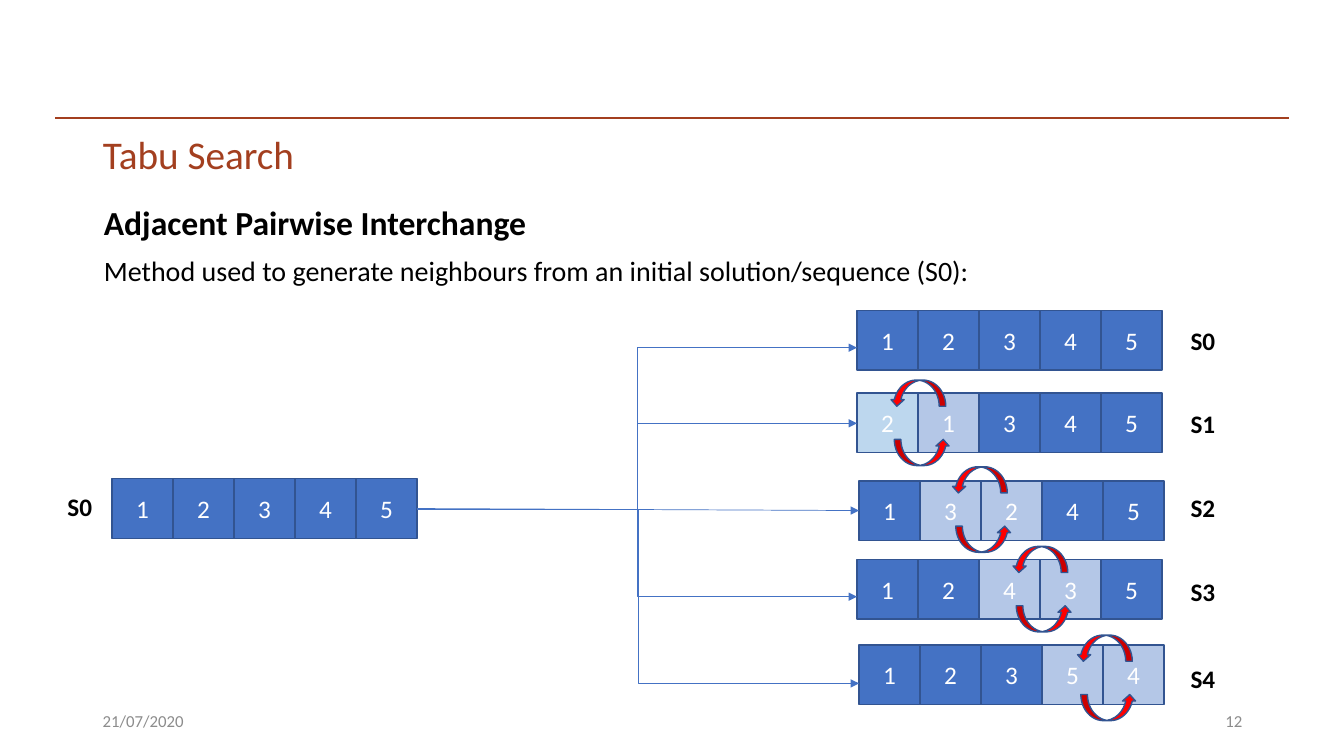
import pptx
import pptx.util
import pptx.dml.color
import pptx.enum.shapes
import pptx.enum.text
import pptx.oxml
import pptx.oxml.ns

Inches = pptx.util.Inches
Pt = pptx.util.Pt
Shape = pptx.enum.shapes.MSO_SHAPE
Link = pptx.enum.shapes.MSO_CONNECTOR
Align = pptx.enum.text.PP_ALIGN
Anchor = pptx.enum.text.MSO_ANCHOR
Fit = pptx.enum.text.MSO_AUTO_SIZE

COLORS = {
    "rust": "A33F1F",
    "black": "000000",
    "white": "FFFFFF",
    "gray": "8C8C8C",
    "blue": "4472C4",
    "edge": "325491",
    "pale": "B4C7E7",
    "sky": "BDD7EE",
    "red": "FF0000",
}
CELL_W, CELL_H = 0.605, 0.59
START = (1.11, 4.75)
ROWS = [
    ("S0", "12345", 8.5, 3.08, 3.18, 3.45, None),
    ("S1", "21345", 8.5, 3.9, 4.0, 4.2, (0, 8.83, 3.77)),
    ("S2", "13245", 8.52, 4.77, 4.83, None, (1, 9.44, 4.63)),
    ("S3", "12435", 8.5, 5.55, 5.67, 5.92, (2, 10.04, 5.42)),
    ("S4", "12354", 8.52, 6.4, 6.53, 6.78, (3, 10.68, 6.3)),
]


def tint(name):
    """Return the named colour."""
    return pptx.dml.color.RGBColor.from_string(COLORS[name])


def place(shape, left, top, width, height):
    """Move and size a shape in inches."""
    shape.left, shape.top = Inches(left), Inches(top)
    shape.width, shape.height = Inches(width), Inches(height)


def style(para, size, color, bold=False, align=Align.LEFT):
    """Set the font and alignment of a paragraph."""
    para.alignment = align
    para.font.name = "Calibri"
    para.font.size = Pt(size)
    para.font.bold = bold
    para.font.color.rgb = tint(color)


def add_text(slide, text, box, size, color, bold=False, align=Align.LEFT, wrap=True):
    """Add a one-line text box."""
    frame = slide.shapes.add_textbox(*map(Inches, box)).text_frame
    frame.word_wrap = wrap
    frame.vertical_anchor = Anchor.MIDDLE
    frame.text = text
    style(frame.paragraphs[0], size, color, bold, align)


def add_form(slide, kind, box, fill):
    """Add a filled shape with a thin dark edge."""
    form = slide.shapes.add_shape(kind, *map(Inches, box))
    form.shadow.inherit = False
    form.fill.solid()
    form.fill.fore_color.rgb = tint(fill)
    form.line.color.rgb = tint("edge")
    form.line.width = Pt(1)
    return form


def add_line(slide, kind, start, end, color, width, head=True):
    """Add a connector, with an arrowhead if asked."""
    line = slide.shapes.add_connector(kind, *map(Inches, start + end))
    line.line.color.rgb = tint(color)
    line.line.width = Pt(width)
    if head:
        tip = pptx.oxml.parse_xml(
            f'<a:tailEnd {pptx.oxml.ns.nsdecls("a")} type="triangle"/>')
        line.line._get_or_add_ln().append(tip)
    props = line._element.spPr
    props.append(pptx.oxml.parse_xml(f'<a:effectLst {pptx.oxml.ns.nsdecls("a")}/>'))
    return line


def add_row(slide, digits, left, top, fills):
    """Add a row of number cells and return them."""
    cells = []
    for i, digit in enumerate(digits):
        box = (left + i * CELL_W, top, CELL_W, CELL_H)
        cell = add_form(slide, Shape.RECTANGLE, box, fills.get(i, "blue"))
        cell.text_frame.text = digit
        cell.text_frame.vertical_anchor = Anchor.MIDDLE
        style(cell.text_frame.paragraphs[0], 18, "white", align=Align.CENTER)
        cells.append(cell)
    return cells


def add_swap(slide, left, top):
    """Add the two curved arrows that show a swap."""
    upper = add_form(slide, Shape.CURVED_UP_ARROW, (left, top, 0.55, 0.26), "red")
    upper.rotation = 180
    add_form(slide, Shape.CURVED_UP_ARROW, (left + 0.04, top + 0.59, 0.55, 0.26), "red")


def add_head(slide, left, top, width):
    """Fill the rule, title and body text."""
    add_line(slide, Link.STRAIGHT, (0.55, 1.17), (12.78, 1.17), "rust", 1.5, False)
    title = slide.shapes.title
    place(title, left, top, width, 0.56)
    title.text_frame.text = "Tabu Search"
    title.text_frame.vertical_anchor = Anchor.MIDDLE
    title.text_frame.auto_size = Fit.NONE
    title.text_frame.paragraphs[0].line_spacing = 0.9
    style(title.text_frame.paragraphs[0], 28, "rust")

    body = slide.placeholders[1]
    place(body, left + 0.01, top + 0.72, width - 0.02, 5.02)
    frame = body.text_frame
    frame.auto_size = Fit.NONE
    frame.text = (
        "Adjacent Pairwise Interchange\n"
        "Method used to generate neighbours from an initial solution/sequence (S0):")
    for para, size, bold in zip(frame.paragraphs, (24, 20), (True, False)):
        para.line_spacing = 0.9
        para.space_before = Pt(10)
        props = para._p.get_or_add_pPr()
        props.set("marL", "0")
        props.set("indent", "0")
        props.append(pptx.oxml.parse_xml(f'<a:buNone {pptx.oxml.ns.nsdecls("a")}/>'))
        style(para, size, "black", bold)


def add_graph(slide, left, top):
    """Draw the first sequence, its neighbours, links and swaps."""
    first = add_row(slide, "12345", left, top, {})
    add_text(slide, "S0", (left - 0.54, top + 0.07, 0.45, 0.4), 18, "black", True, wrap=False)
    start = (left + 5 * CELL_W, top + 0.3)
    for name, digits, x, y, label, end, swap in ROWS:
        fills = {}
        if swap:
            fills = {swap[0]: "pale" if swap[0] else "sky", swap[0] + 1: "pale"}
        cells = add_row(slide, digits, x, y, fills)
        add_text(slide, name, (11.71, label, 0.45, 0.4), 18, "black", True, wrap=False)
        if end:
            add_line(slide, Link.ELBOW, start, (x, end), "blue", 0.5)
        else:
            line = add_line(slide, Link.STRAIGHT, start, (x, y + CELL_H / 2), "blue", 0.5)
            line.begin_connect(first[-1], 3)
            line.end_connect(cells[0], 1)
    for row in ROWS:
        if row[-1]:
            add_swap(slide, *row[-1][1:])


def add_foot(slide, left, top, width):
    """Add the date and the slide number."""
    add_text(slide, "21/07/2020", (left, top, 3, 0.4), 12, "gray")
    add_text(slide, "12", (left + width - 3, top, 3, 0.4), 12, "gray", align=Align.RIGHT)


def main():
    """Build and save the slide."""
    deck = pptx.Presentation()
    deck.slide_width, deck.slide_height = Inches(13.33), Inches(7.5)
    slide = deck.slides.add_slide(deck.slide_layouts[1])
    add_head(slide, 0.92, 1.28, 11.5)
    add_graph(slide, *START)
    add_foot(slide, 0.92, 6.95, 11.5)
    deck.save("out.pptx")


if __name__ == "__main__":
    main()
